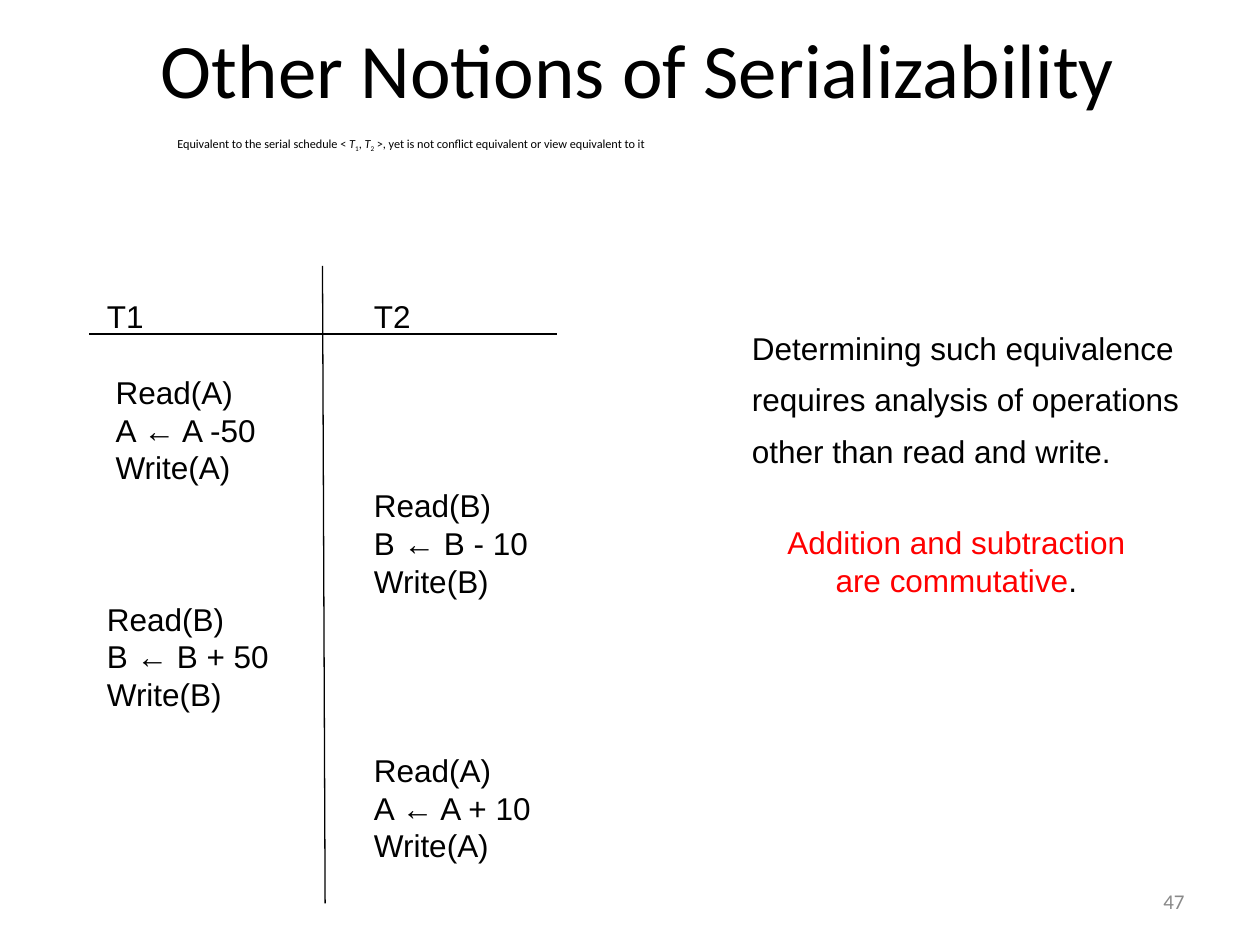
from pptx import Presentation
from pptx.dml.color import RGBColor
from pptx.enum.text import MSO_ANCHOR as ANCHOR, PP_ALIGN as ALIGN
from pptx.util import Pt
from pptx.oxml.ns import qn
from lxml import etree

LINE = 21.6  # pitch of the 18 pt text


def rgb(value):
    return RGBColor.from_string(value)


def add_text(box, lines, size=18, font="Arial", color="000000",
             align=ALIGN.LEFT, anchor=ANCHOR.TOP, pitch=LINE):
    """Each line is (space before, left indent, runs as strings)."""
    frame = slide.shapes.add_textbox(*map(Pt, box)).text_frame
    frame.word_wrap = True
    frame.vertical_anchor = anchor
    for i, (before, indent, runs) in enumerate(lines):
        line = frame.paragraphs[0] if i == 0 else frame.add_paragraph()
        if indent:
            line._p.get_or_add_pPr().set("marL", str(Pt(indent)))
        line.alignment = align
        if before:
            line.space_before = Pt(before)
        if pitch:
            line.line_spacing = Pt(pitch)
        line.font.size = Pt(size)
        line.font.name = font
        line.font.color.rgb = rgb(color)
        for words in runs:
            line.add_run().text = words
    return frame


prs = Presentation()
prs.slide_width, prs.slide_height = Pt(720), Pt(540)
slide = prs.slides.add_slide(prs.slide_layouts[6])

# Title
add_text((46.8, 5.8, 635.8, 66.2), [(0, 0, ["Other Notions of Serializability"])],
         44, "Calibri", align=ALIGN.CENTER, anchor=ANCHOR.MIDDLE, pitch=None)

# Statement with transaction names
statement = add_text(
    (94.3, 74.2, 571.7, 58.3),
    [(0, 0, ["Equivalent to the serial schedule < ", "T", "1", ", ", "T", "2",
             " >, yet is not conflict equivalent or view equivalent to it"])],
    7, "Calibri", pitch=None)
for run in statement.paragraphs[0].runs:
    if run.text == "T":
        run.font.italic = True
    elif run.text in ("1", "2"):
        run.font._element.set("baseline", "-25000")

# Schedule: each transaction has blocks of (empty rows above, indent, steps)
schedule = [
    (54, 245, "T1", [(1, 5, ["Read(A)", "A ← A -50", "Write(A)"]),
                     (3, 0, ["Read(B)", "B ← B + 50", "Write(B)"])]),
    (206.6, 331, "T2", [(4, 0, ["Read(B)", "B ← B - 10", "Write(B)"]),
                        (4, 0, ["Read(A)", "A ← A + 10", "Write(A)"])]),
]
for left, height, transaction, blocks in schedule:
    rows = [(0, 0, [transaction])]
    for empty_rows, indent, steps in blocks:
        for i, step in enumerate(steps):
            rows.append((0 if i else empty_rows * LINE, indent, [step]))
    add_text((left, 166.3, 120, height), rows)

# Schedule rules
for ends in [(51.1, 190.8, 318.2, 190.8), (184.3, 151.9, 185.8, 516.2)]:
    rule = slide.shapes.add_connector(1, *map(Pt, ends))
    rule.line.color.rgb = rgb("000000")
    rule.line.width = Pt(0.75)
    etree.SubElement(rule._element.spPr, qn("a:effectLst"))

# Remarks
add_text((422.6, 184.3, 270, 109.4),
         [(0, 0, ["Determining such equivalence"]),
          (7.9, 0, ["requires analysis of operations"]),
          (7.9, 0, ["other than read and write."])])
commutative = add_text((436, 295.2, 221, 50.4),
                       [(0, 0, ["Addition and subtraction"]),
                        (0, 0, ["are commutative", "."])],
                       color="FF0000", align=ALIGN.CENTER)
commutative.paragraphs[1].runs[1].font.color.rgb = rgb("000000")

# Slide number
add_text((516.2, 500.4, 167.8, 28.8), [(0, 0, ["47"])], 12, "Calibri",
         "898989", ALIGN.RIGHT, ANCHOR.MIDDLE, None)

prs.save("out.pptx")
